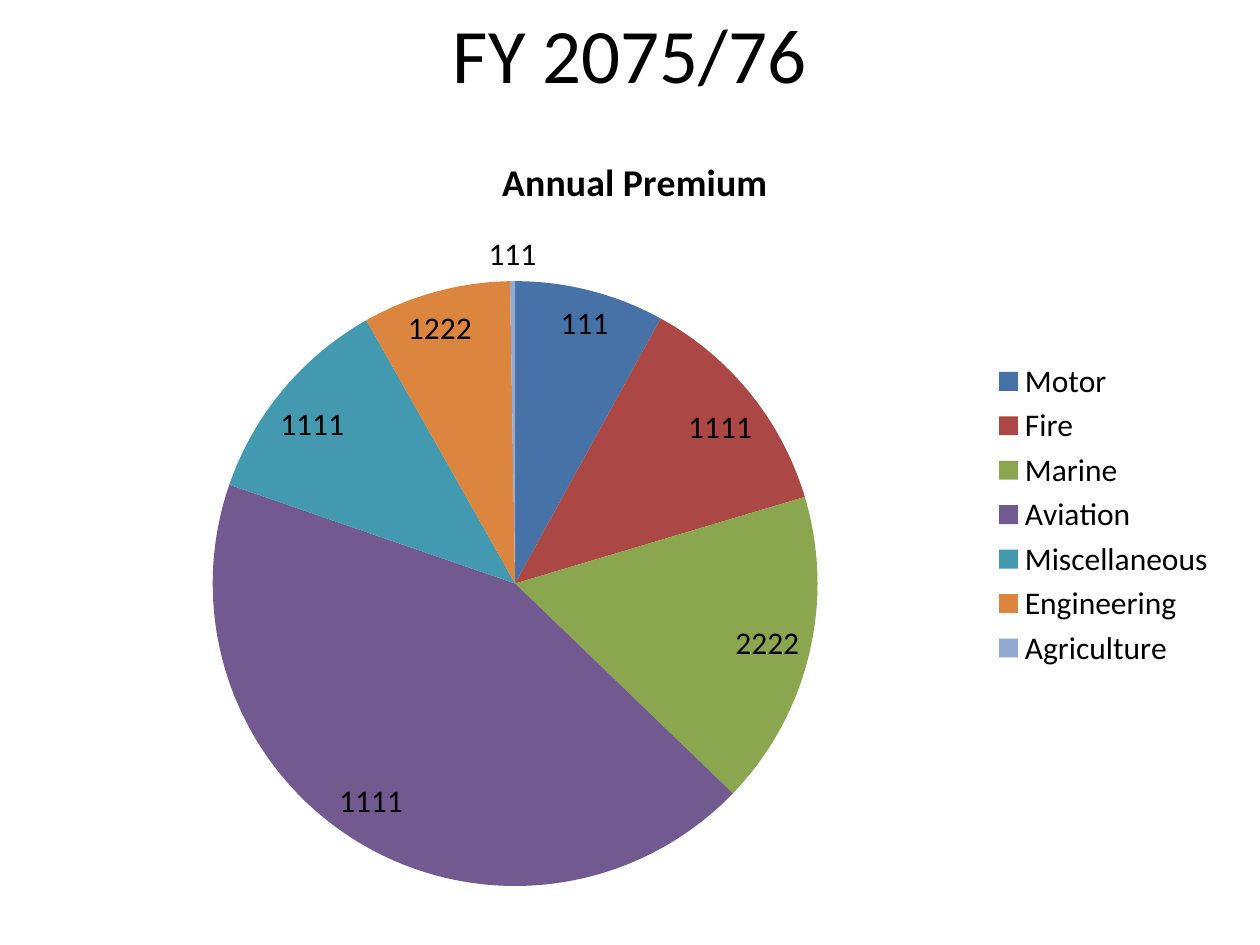
import pptx
import pptx.chart.data
import pptx.dml.color
import pptx.enum.chart
import pptx.enum.text
import pptx.util

Inches = pptx.util.Inches
RGBColor = pptx.dml.color.RGBColor

FONT = "Calibri"
BLACK = RGBColor(0x00, 0x00, 0x00)
BLUE = RGBColor(0x46, 0x72, 0xA8)
RED = RGBColor(0xAB, 0x47, 0x44)
GREEN = RGBColor(0x8A, 0xA6, 0x4F)
PURPLE = RGBColor(0x72, 0x59, 0x90)
TEAL = RGBColor(0x42, 0x99, 0xB0)
ORANGE = RGBColor(0xDC, 0x85, 0x3E)
PALE_BLUE = RGBColor(0x93, 0xA9, 0xCF)

CHART_TITLE = "Annual Premium"
NUMBER_FORMAT = r'_(* #,##0_);_(* \(#,##0\);_(* "-"??_);_(@_)'
# Category, premium, label, colour
PREMIUMS = [
    ("Motor", 62_700_000, "111", BLUE),
    ("Fire", 97_100_000, "1111", RED),
    ("Marine", 132_000_000, "2222", GREEN),
    ("Aviation", 338_000_000, "1111", PURPLE),
    ("Miscellaneous", 90_300_000, "1111", TEAL),
    ("Engineering", 62_100_000, "1222", ORANGE),
    ("Agriculture", 2_110_000, "111", PALE_BLUE),
]


def style_font(font, size, bold=False):
    font.name = FONT
    font.size = pptx.util.Pt(size)
    font.bold = bold
    font.color.rgb = BLACK


def add_heading(page, text):
    box = page.shapes.add_textbox(0, 0, Inches(10), Inches(0.83))
    frame = box.text_frame
    frame.word_wrap = True
    frame.vertical_anchor = pptx.enum.text.MSO_ANCHOR.MIDDLE
    para = frame.paragraphs[0]
    para.text = text
    para.alignment = pptx.enum.text.PP_ALIGN.CENTER
    style_font(para.font, 44)


def add_premium_pie(page):
    data = pptx.chart.data.CategoryChartData(number_format=NUMBER_FORMAT)
    data.categories = [row[0] for row in PREMIUMS]
    data.add_series(CHART_TITLE, [row[1] for row in PREMIUMS])
    chart = page.shapes.add_chart(
        pptx.enum.chart.XL_CHART_TYPE.PIE,
        Inches(0.33), Inches(1), Inches(9.42), Inches(6.17), data).chart
    style_font(chart.font, 18)

    # Title and legend
    chart.has_title = True
    para = chart.chart_title.text_frame.paragraphs[0]
    para.text = CHART_TITLE
    style_font(para.font, 21.6, bold=True)
    chart.has_legend = True
    chart.legend.position = pptx.enum.chart.XL_LEGEND_POSITION.RIGHT
    chart.legend.include_in_layout = False
    style_font(chart.legend.font, 18)

    # Slices and their labels
    plot = chart.plots[0]
    plot.vary_by_categories = True
    series = plot.series[0]
    series.data_labels.show_value = True
    series.data_labels.show_percentage = False
    for index, (_, _, text, color) in enumerate(PREMIUMS):
        point = series.points[index]
        point.format.fill.solid()
        point.format.fill.fore_color.rgb = color
        para = point.data_label.text_frame.paragraphs[0]
        para.text = text
        style_font(para.font, 18)
        point.data_label.position = pptx.enum.chart.XL_LABEL_POSITION.BEST_FIT


def main():
    deck = pptx.Presentation()
    deck.slide_width, deck.slide_height = Inches(10), Inches(7.5)
    page = deck.slides.add_slide(deck.slide_layouts[6])
    add_heading(page, "FY 2075/76")
    add_premium_pie(page)
    deck.save("out.pptx")


if __name__ == "__main__":
    main()
